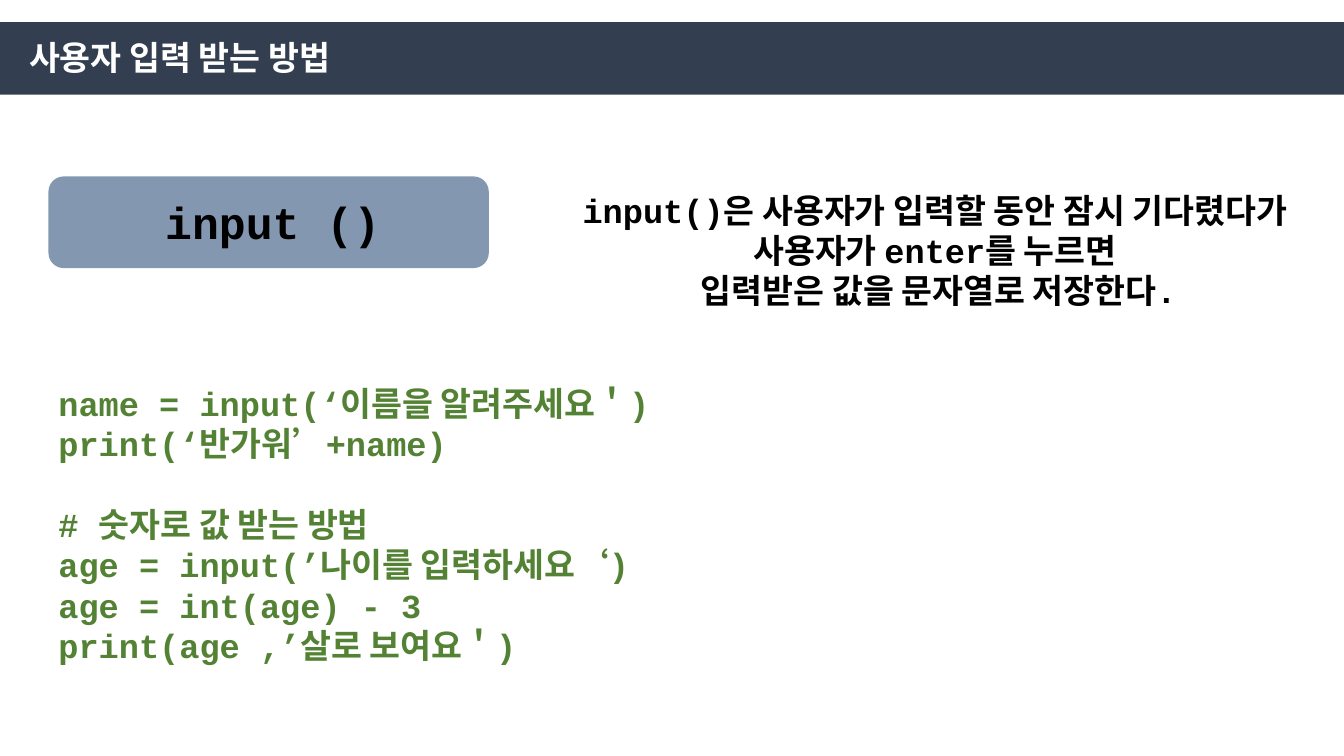
from pptx import Presentation
from pptx import util as u
from pptx.dml import color
from pptx.enum import shapes, text

FONT = "Courier New"
NAVY, STEEL, GREEN = "333F50", "8497B0", "548235"
WHITE, BLACK = "FFFFFF", "000000"


def rgb(code):
    return color.RGBColor.from_string(code)


def add_block(slide, kind, box, fill):
    block = slide.shapes.add_shape(kind, *map(u.Pt, box))
    block.shadow.inherit = False
    block.fill.solid()
    block.fill.fore_color.rgb = rgb(fill)
    block.line.fill.background()


def add_text(slide, box, lines, size=24, ink=BLACK, align=text.PP_ALIGN.LEFT, gaps=()):
    """Write one paragraph per line; gaps holds the lines with a blank row's space above."""
    frame = slide.shapes.add_textbox(*map(u.Pt, box)).text_frame
    frame.word_wrap = True
    frame.auto_size = text.MSO_AUTO_SIZE.SHAPE_TO_FIT_TEXT
    for i, line in enumerate(lines):
        para = frame.paragraphs[0] if i == 0 else frame.add_paragraph()
        para.alignment = align
        if i in gaps:
            para.space_before = u.Pt(size * 1.2)
        run = para.add_run()
        run.text = line
        font = run.font
        font.name, font.size, font.bold = FONT, u.Pt(size), True
        font.color.rgb = rgb(ink)


def main():
    deck = Presentation()
    deck.slide_width, deck.slide_height = u.Pt(960), u.Pt(540)
    slide = deck.slides.add_slide(deck.slide_layouts[6])
    kinds = shapes.MSO_SHAPE

    add_block(slide, kinds.RECTANGLE, (0, 15.8, 960, 51.8), NAVY)
    add_text(slide, (13.7, 23, 714, 65.5), ["사용자 입력 받는 방법"], ink=WHITE)

    add_block(slide, kinds.ROUNDED_RECTANGLE, (34.6, 126, 314.6, 65.5), STEEL)
    add_text(slide, (110.9, 135.4, 719.3, 46), ["input ()"], size=32)

    code = [
        "name = input(‘이름을 알려주세요＇)",
        "print(‘반가워’+name)",
        "# 숫자로 값 받는 방법",
        "age = input(’나이를 입력하세요‘)",
        "age = int(age) - 3",
        "print(age ,’살로 보여요＇)",
    ]
    add_text(slide, (34.6, 270, 614.9, 269.3), code, ink=GREEN, gaps=(2,))

    about = [
        "input()은 사용자가 입력할 동안 잠시 기다렸다가 사용자가 enter를 누르면",
        " 입력받은 값을 문자열로 저장한다.",
    ]
    add_text(slide, (371.5, 131.8, 592.6, 94.3), about, align=text.PP_ALIGN.CENTER)

    deck.save("out.pptx")


if __name__ == "__main__":
    main()
